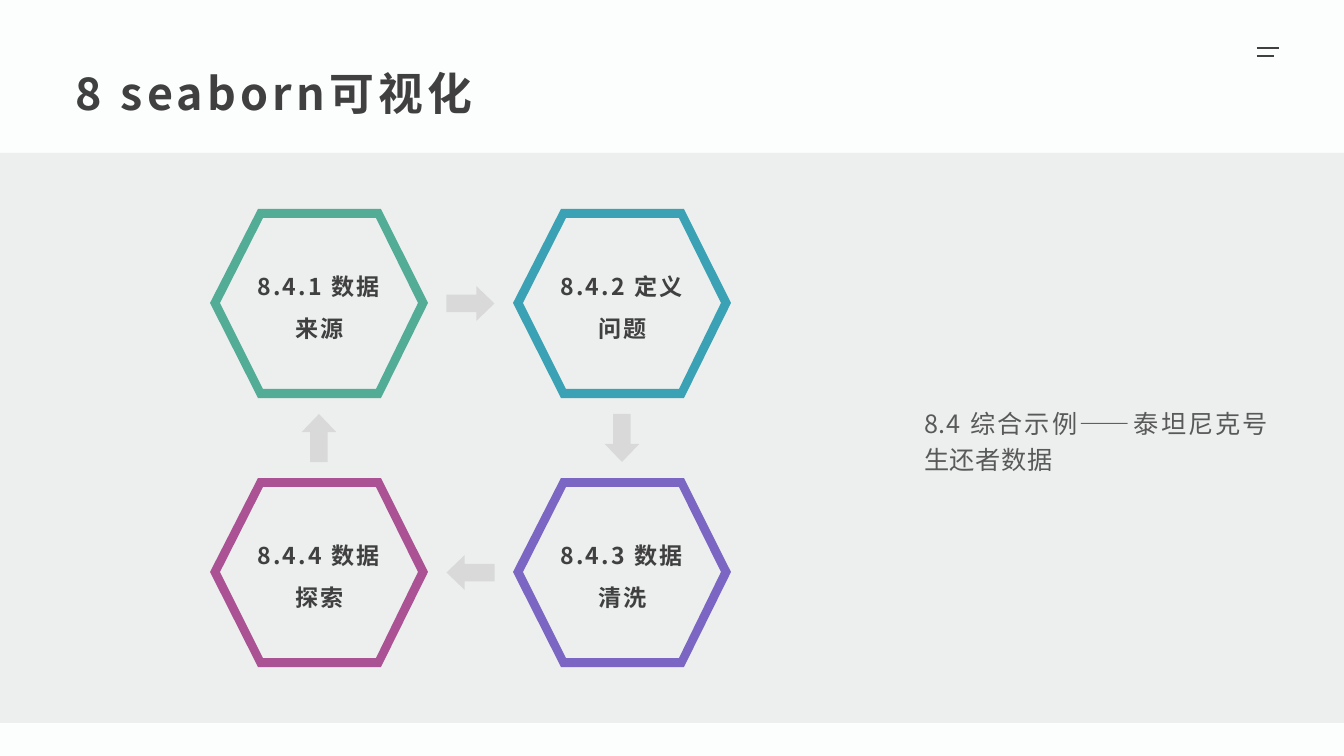
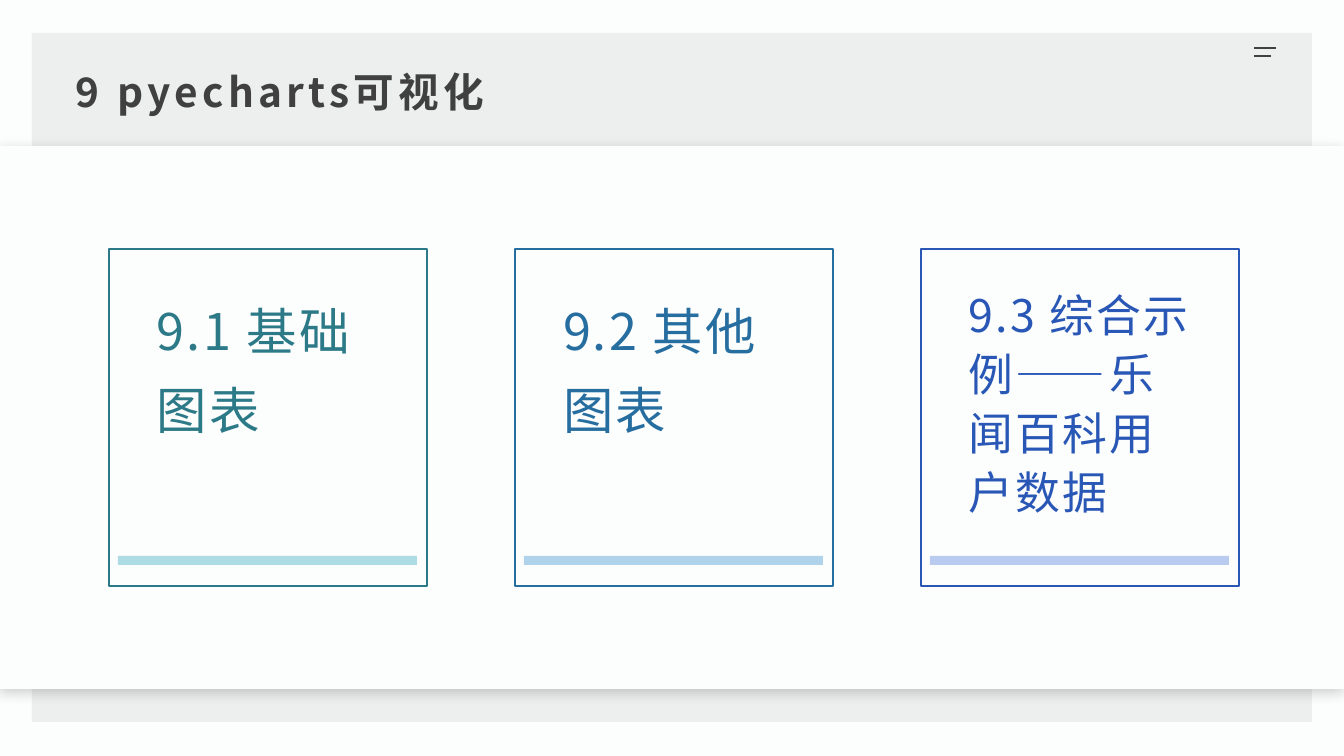
from dataclasses import dataclass, field
from typing import Any, NamedTuple

from lxml.etree import SubElement
from pptx import Presentation
from pptx.dml.color import RGBColor
from pptx.enum.shapes import MSO_CONNECTOR as Connector, MSO_SHAPE as Preset
from pptx.enum.text import MSO_ANCHOR as Anchor, MSO_AUTO_SIZE as AutoSize, PP_ALIGN as Align
from pptx.oxml.ns import qn
from pptx.slide import Slide
from pptx.util import Emu, Pt

EMU_PER_PX = 914400 / 100.8


def px(length: float) -> Emu:
    return Emu(round(length * EMU_PER_PX))


@dataclass(frozen=True)
class Theme:
    font: str = "Noto Sans CJK SC"
    page: str = "FCFDFD"
    band: str = "ECEFEE"
    ink: str = "404040"
    body: str = "595959"
    arrow: str = "D9D9D9"
    shadow: str = "0D0D0D"
    title_large: float = 32
    title_small: float = 29
    topic: float = 18
    step: float = 16.5
    card_large: float = 36
    card_small: float = 32
    hairline: float = 1


THEME = Theme()


class Box(NamedTuple):
    left: float
    top: float
    width: float
    height: float

    def emu(self) -> tuple[Emu, ...]:
        return tuple(px(length) for length in self)


class Inset(NamedTuple):
    side: int
    edge: int


TIGHT = Inset(8, 4)
LOOSE = Inset(10, 5)


@dataclass(frozen=True)
class TextStyle:
    size: float
    color: str
    spacing: float
    bold: bool = False
    inset: Inset = LOOSE
    anchor: Anchor = Anchor.TOP
    paragraph: dict[str, Any] = field(default_factory=dict)


class Step(NamedTuple):
    label: str
    color: str
    column: int
    row: int


class FlowArrow(NamedTuple):
    column: float
    row: float
    rotation: int


class Card(NamedTuple):
    label: str
    color: str
    accent: str
    size: float
    line_spacing: float


STEPS = (
    Step("8.4.1 数据来源", "52AC96", 0, 0),
    Step("8.4.2 定义问题", "3BA1B4", 1, 0),
    Step("8.4.4 数据探索", "AB5294", 0, 1),
    Step("8.4.3 数据清洗", "7C66C3", 1, 1),
)
FLOW = (
    FlowArrow(0.5, 0, 0),
    FlowArrow(1, 0.5, 90),
    FlowArrow(0.5, 1, 180),
    FlowArrow(0, 0.5, 270),
)
CARDS = (
    Card("9.1 基础图表", "2C7987", "ADDCE4", THEME.card_large, 1.3),
    Card("9.2 其他图表", "276EA0", "B0D3EC", THEME.card_large, 1.3),
    Card("9.3 综合示例——乐闻百科用户数据", "2957B6", "B9CBEF", THEME.card_small, 1.1),
)

CYCLE = Box(210, 209, 303, 269)
HEXAGON_WIDTH, HEXAGON_HEIGHT = 218, 189
HEXAGON_OUTER = ((48, 0), (171, 0), (218, 94), (171, 189), (48, 189), (0, 94))
HEXAGON_INNER = ((53, 9), (10, 94), (53, 180), (166, 180), (208, 94), (166, 9))
ARROW_WIDTH, ARROW_HEIGHT = 48, 35
CARD_LEFT, CARD_TOP, CARD_PITCH = 109, 249, 406


def apply(target: Any, values: dict[str, Any]) -> None:
    for name, value in values.items():
        setattr(target, name, value)


def write(holder: Any, text: str, style: TextStyle) -> None:
    frame = holder.text_frame
    side, edge = px(style.inset.side), px(style.inset.edge)
    apply(frame, {
        "word_wrap": True,
        "auto_size": AutoSize.NONE,
        "vertical_anchor": style.anchor,
        "margin_left": side,
        "margin_right": side,
        "margin_top": edge,
        "margin_bottom": edge,
    })
    paragraph = frame.paragraphs[0]
    apply(paragraph, {"alignment": Align.LEFT, **style.paragraph})
    run = paragraph.add_run()
    run.text = text
    run.font.color.rgb = RGBColor.from_string(style.color)
    apply(run.font, {"name": THEME.font, "size": Pt(style.size), "bold": style.bold})
    properties = run._r.get_or_add_rPr()
    properties.set("spc", str(round(style.spacing * 100)))
    SubElement(properties, qn("a:ea"), typeface=THEME.font)


def add_text(slide: Slide, box: Box, text: str, style: TextStyle) -> None:
    write(slide.shapes.add_textbox(*box.emu()), text, style)


def paint(shape: Any, fill: str | None = None, line: str | None = None) -> None:
    shape.shadow.inherit = False
    if fill:
        shape.fill.solid()
        shape.fill.fore_color.rgb = RGBColor.from_string(fill)
    else:
        shape.fill.background()
    if line:
        shape.line.color.rgb = RGBColor.from_string(line)
        shape.line.width = Pt(THEME.hairline)
    else:
        shape.line.fill.background()


def add_preset(slide: Slide, preset: Preset, box: Box,
               fill: str | None = None, line: str | None = None) -> Any:
    shape = slide.shapes.add_shape(preset, *box.emu())
    paint(shape, fill, line)
    return shape


def cast_shadow(shape: Any) -> None:
    effects = shape._element.spPr.find(qn("a:effectLst"))
    shadow = SubElement(effects, qn("a:outerShdw"), blurRad=str(Pt(10)), dist=str(Pt(3)),
                        dir="5400000", algn="t", rotWithShape="0")
    color = SubElement(shadow, qn("a:srgbClr"), val=THEME.shadow)
    SubElement(color, qn("a:alpha"), val="20000")


def add_title(slide: Slide, text: str, size: float, height: int) -> None:
    title = slide.shapes.title
    slide.shapes._spTree.append(title._element)
    apply(title, dict(zip(("left", "top", "width", "height"),
                          Box(68, 68, 1210, height).emu())))
    write(title, text, TextStyle(size, THEME.ink, 3, True, TIGHT,
                                 paragraph={"line_spacing": 0.9}))


def add_menu_mark(slide: Slide, left: int) -> None:
    group = slide.shapes.add_group_shape()
    for top, length in ((48, 22), (56, 17)):
        stroke = group.shapes.add_connector(
            Connector.STRAIGHT, px(left), px(top), px(left + length), px(top))
        stroke.line.color.rgb = RGBColor.from_string(THEME.ink)
        stroke.line.width = Pt(THEME.hairline)
        SubElement(stroke._element.spPr, qn("a:effectLst"))


def add_step(slide: Slide, step: Step) -> None:
    left = CYCLE.left + step.column * CYCLE.width
    top = CYCLE.top + step.row * CYCLE.height
    inner, outer = (
        [(px(left + x), px(top + y)) for x, y in contour]
        for contour in (HEXAGON_INNER, HEXAGON_OUTER)
    )
    builder = slide.shapes.build_freeform(*inner[0])
    builder.add_line_segments(inner[1:], close=True)
    builder.move_to(*outer[0])
    builder.add_line_segments(outer[1:], close=True)
    paint(builder.convert_to_shape(), step.color)
    add_text(slide, Box(left + 36, top + 45, 147, 98), step.label,
             TextStyle(THEME.step, THEME.ink, 1.5, True,
                       paragraph={"alignment": Align.CENTER, "line_spacing": 1.5}))


def add_flow_arrow(slide: Slide, arrow: FlowArrow) -> None:
    center_x = CYCLE.left + HEXAGON_WIDTH / 2 + arrow.column * CYCLE.width
    center_y = CYCLE.top + HEXAGON_HEIGHT / 2 + arrow.row * CYCLE.height
    box = Box(center_x - ARROW_WIDTH / 2, center_y - ARROW_HEIGHT / 2,
              ARROW_WIDTH, ARROW_HEIGHT)
    shape = add_preset(slide, Preset.RIGHT_ARROW, box, THEME.arrow)
    shape.adjustments[0], shape.adjustments[1] = 0.5, 0.52
    shape.rotation = arrow.rotation


def add_card(slide: Slide, index: int, card: Card) -> None:
    left = CARD_LEFT + index * CARD_PITCH
    add_preset(slide, Preset.RECTANGLE, Box(left, CARD_TOP, 318, 337), line=card.color)
    add_text(slide, Box(left + 38, CARD_TOP + 28, 251, 251), card.label,
             TextStyle(card.size, card.color, 1.5,
                       paragraph={"line_spacing": card.line_spacing}))
    add_preset(slide, Preset.RECTANGLE, Box(left + 9, CARD_TOP + 307, 299, 9), card.accent)


def build_seaborn(slide: Slide) -> None:
    add_preset(slide, Preset.RECTANGLE, Box(0, 153, 1344, 570), THEME.band)
    add_title(slide, "8 seaborn可视化", THEME.title_large, 70)
    add_text(slide, Box(916, 396, 361, 84), "8.4 综合示例——泰坦尼克号生还者数据",
             TextStyle(THEME.topic, THEME.body, 0.5, inset=TIGHT, anchor=Anchor.MIDDLE,
                       paragraph={"alignment": Align.JUSTIFY, "line_spacing": 1.2,
                                  "space_after": Pt(8)}))
    add_menu_mark(slide, 1257)
    for step in STEPS:
        add_step(slide, step)
    for arrow in FLOW:
        add_flow_arrow(slide, arrow)


def build_pyecharts(slide: Slide) -> None:
    add_preset(slide, Preset.RECTANGLE, Box(32, 33, 1280, 689), THEME.band)
    cast_shadow(add_preset(slide, Preset.RECTANGLE, Box(0, 146, 1344, 543), THEME.page))
    add_title(slide, "9 pyecharts可视化", THEME.title_small, 62)
    add_menu_mark(slide, 1254)
    for index, card in enumerate(CARDS):
        add_card(slide, index, card)


def main() -> None:
    deck = Presentation()
    apply(deck, {"slide_width": px(1344), "slide_height": px(756)})
    background = deck.slide_master.background.fill
    background.solid()
    background.fore_color.rgb = RGBColor.from_string(THEME.page)
    title_only = deck.slide_layouts[5]
    for build in (build_seaborn, build_pyecharts):
        build(deck.slides.add_slide(title_only))
    deck.save("out.pptx")


if __name__ == "__main__":
    main()
